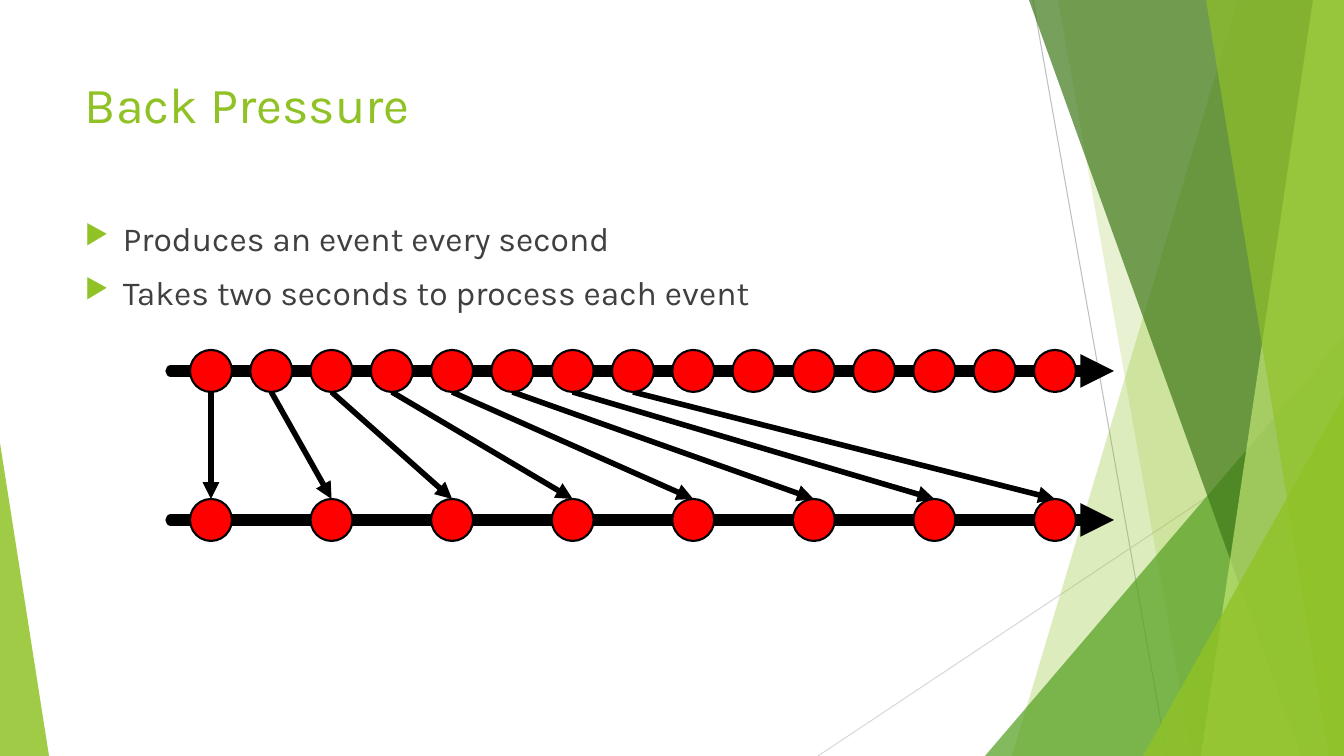
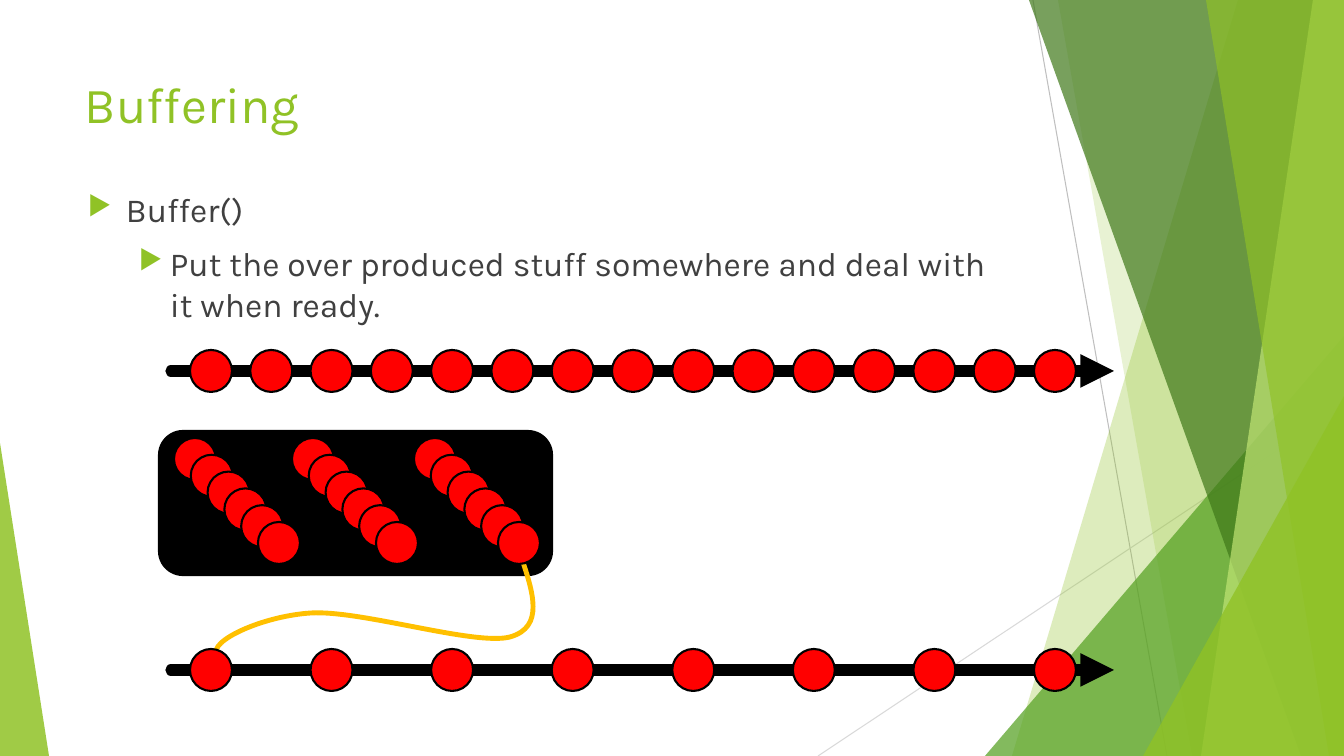
from pptx import Presentation
from pptx.dml.color import RGBColor
from pptx.enum.shapes import MSO_CONNECTOR as Link, MSO_SHAPE as Preset
from pptx.oxml.xmlchemy import OxmlElement as new_element
from pptx.util import Pt

SCALE = 914400 / 100.8
WIDTH, HEIGHT = 1344, 756
FONT = "Karla"
COLORS = {
    "lime": "90C226", "green": "54A021", "forest": "3F7819", "pale": "C0E474",
    "text": "404040", "black": "000000", "red": "FF0000", "amber": "FFC000",
    "hairline": "BFBFBF", "faint": "D9D9D9",
}

HAIRLINES = [((1033, 0), (1167, 756), "hairline"), ((1344, 406), (818, 756), "faint")]
BACKDROP = [
    ("panel", (1238, 1012), "lime", 30),
    ("panel", (1058, 1192), "lime", 20),
    ("triangle", (985, 336, 359, 420, 1), "green", 72),
    ("panel", (1029, 1301), "forest", 70),
    ("panel", (1313, 1201), "pale", 70),
    ("panel", (1206, 1329), "lime", 65),
    ("triangle", (1143, 396, 201, 360, 1), "lime", 80),
    ("triangle", (0, 443, 49, 313, 0), "lime", 85),
]

TITLE_BOX = (75, 68, 948, 145)
INDENTS = [(38, -38), (82, -31)]
PRESSURE = {
    "title": "Back Pressure",
    "box": (75, 213, 948, 112),
    "bullets": [(0, "Produces an event every second"),
                (0, "Takes two seconds to process each event")],
}
BUFFERING = {
    "title": "Buffering",
    "box": (78, 184, 948, 427),
    "bullets": [(0, "Buffer()"),
                (1, "Put the over produced stuff somewhere and deal with it when ready.")],
}

AXIS_START, AXIS_END = 171, 1114
FIRST_EVENT, LAST_EVENT = 211, 1055
PRODUCED, PROCESSED = 15, 8
DIAMETER, RADIUS = 42, 21
PRODUCER_Y, PRESSURE_Y, BUFFERED_Y = 371, 520, 670

BUFFER_BOX = (159, 431, 393, 144)
QUEUE_STARTS = [195, 313, 435]
QUEUE_TOP, QUEUE_LENGTH, QUEUE_SPAN = 459, 6, 84
RELEASE_START = (521, 556)
RELEASE_CURVE = [
    (533, 592), (545, 627), (510, 637),
    (475, 646), (361, 610), (311, 613),
    (263, 616), (208, 641), (217, 655),
]


def emu(*lengths):
    return [round(length * SCALE) for length in lengths]


def rgb(name):
    return RGBColor.from_string(COLORS[name])


def add_child(parent, tag, **attributes):
    child = new_element(tag)
    for key, value in attributes.items():
        child.set(key, str(value))
    parent.append(child)
    return child


def paint(shape, fill=None, alpha=100, line=None, weight=1.5):
    shape.shadow.inherit = False
    if fill:
        shape.fill.solid()
        shape.fill.fore_color.rgb = rgb(fill)
        if alpha < 100:
            color = shape.fill._xPr.xpath("./a:solidFill/a:srgbClr")[0]
            add_child(color, "a:alpha", val=alpha * 1000)
    else:
        shape.fill.background()
    if line:
        shape.line.color.rgb = rgb(line)
        shape.line.width = Pt(weight)
    else:
        shape.line.fill.background()


def add_line(page, start, end, color, weight, arrow=False, cap="flat"):
    connector = page.shapes.add_connector(Link.STRAIGHT, *emu(*start, *end))
    connector.line.color.rgb = rgb(color)
    connector.line.width = Pt(weight)
    outline = connector.line._get_or_add_ln()
    outline.set("cap", cap)
    if arrow:
        add_child(outline, "a:tailEnd", type="triangle")
    add_child(connector._element.spPr, "a:effectLst")


def add_outline(page, start, points, close):
    builder = page.shapes.build_freeform(*start, scale=SCALE)
    builder.add_line_segments(points, close=close)
    return builder.convert_to_shape()


def add_backdrop(page):
    for start, end, color in HAIRLINES:
        add_line(page, start, end, color, 0.75)
    for kind, place, color, alpha in BACKDROP:
        if kind == "panel":
            top, bottom = place
            corners = [(WIDTH, 0), (WIDTH, HEIGHT), (bottom, HEIGHT)]
            shape = add_outline(page, (top, 0), corners, True)
        else:
            *box, apex = place
            shape = page.shapes.add_shape(Preset.ISOSCELES_TRIANGLE, *emu(*box))
            shape.adjustments[0] = apex
        paint(shape, color, alpha)


def set_font(para, size, color):
    para.font.name = FONT
    para.font.size = Pt(size)
    para.font.color.rgb = rgb(color)


def add_frame(page, box):
    frame = page.shapes.add_textbox(*emu(*box)).text_frame
    frame.word_wrap = True
    return frame


def add_text(page, content):
    title = add_frame(page, TITLE_BOX).paragraphs[0]
    title.text = content["title"]
    set_font(title, 36, "lime")

    body = add_frame(page, content["box"])
    for index, (level, text) in enumerate(content["bullets"]):
        para = body.add_paragraph() if index else body.paragraphs[0]
        para.text = text
        para.level = level
        para.space_before = Pt(10)
        margin, indent = emu(*INDENTS[level])
        props = para._p.get_or_add_pPr()
        props.set("marL", str(margin))
        props.set("indent", str(indent))
        bullet_color = add_child(props, "a:buClr")
        add_child(bullet_color, "a:srgbClr", val=COLORS["lime"])
        add_child(props, "a:buSzPct", val=80000)
        add_child(props, "a:buChar", char="▶")
        set_font(para, 24, "text")


def event_x(second):
    return FIRST_EVENT + (LAST_EVENT - FIRST_EVENT) * second / (PRODUCED - 1)


def add_event(page, x, y):
    box = emu(x - RADIUS, y - RADIUS, DIAMETER, DIAMETER)
    paint(page.shapes.add_shape(Preset.OVAL, *box), "red", line="black")


def add_timeline(page, y, interval):
    add_line(page, (AXIS_START, y), (AXIS_END, y), "black", 8, arrow=True, cap="rnd")
    for second in range(0, PRODUCED, interval):
        add_event(page, event_x(second), y)


def add_release_curve(page):
    curve = add_outline(page, RELEASE_START, RELEASE_CURVE, False)
    paint(curve, line="amber", weight=3.5)
    segments = curve._element.xpath(".//a:lnTo")
    for first in range(0, len(segments), 3):
        bezier = new_element("a:cubicBezTo")
        segments[first].addprevious(bezier)
        for segment in segments[first:first + 3]:
            bezier.append(segment[0])
            segment.getparent().remove(segment)


def add_delays(page):
    for event in range(PROCESSED):
        start = (event_x(event), PRODUCER_Y + RADIUS)
        end = (event_x(2 * event), PRESSURE_Y - RADIUS)
        add_line(page, start, end, "black", 4, arrow=True)


def add_buffer(page):
    buffer = page.shapes.add_shape(Preset.ROUNDED_RECTANGLE, *emu(*BUFFER_BOX))
    paint(buffer, "black", line="black")
    add_release_curve(page)


def add_queues(page):
    for left in QUEUE_STARTS:
        for place in range(QUEUE_LENGTH):
            offset = QUEUE_SPAN * place / (QUEUE_LENGTH - 1)
            add_event(page, left + offset, QUEUE_TOP + offset)


def add_page(deck, content, add_link, consumer_y):
    page = deck.slides.add_slide(deck.slide_layouts[6])
    add_backdrop(page)
    add_link(page)
    add_text(page, content)
    add_timeline(page, PRODUCER_Y, 1)
    add_timeline(page, consumer_y, 2)
    return page


def main():
    deck = Presentation()
    deck.slide_width, deck.slide_height = emu(WIDTH, HEIGHT)
    add_page(deck, PRESSURE, add_delays, PRESSURE_Y)
    buffering = add_page(deck, BUFFERING, add_buffer, BUFFERED_Y)
    add_queues(buffering)
    deck.save("out.pptx")


if __name__ == "__main__":
    main()
